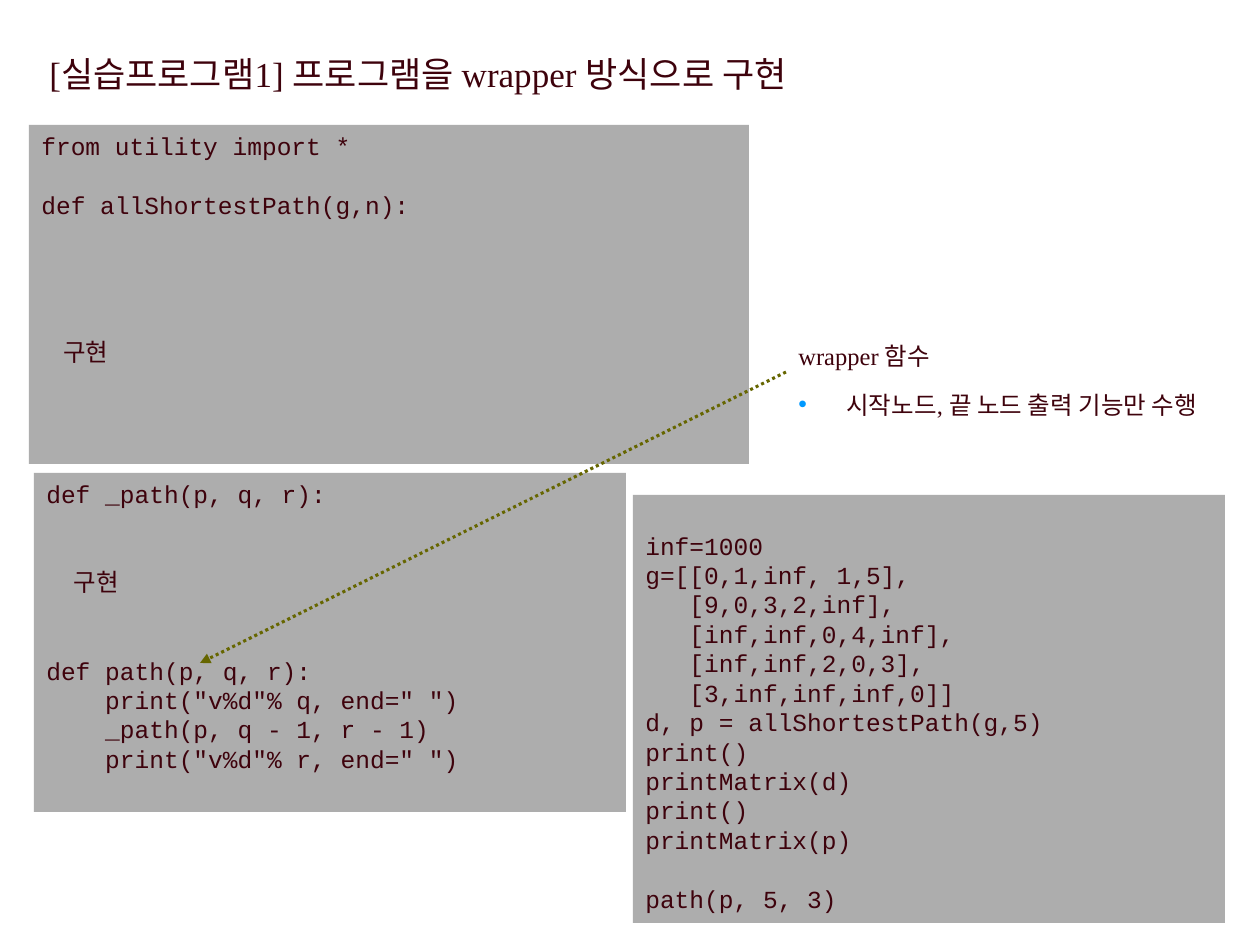
from lxml import etree
from pptx import Presentation
from pptx import util as u
from pptx.dml.color import RGBColor
from pptx.enum import dml, shapes, text
from pptx.oxml.ns import qn

PX_PER_INCH = 126
INK, GREY, OLIVE, BLUE = "3E020C", "ADADAD", "666600", "0099FF"
CODE_FONT, TEXT_FONT = "Courier New", "Times New Roman"

SHORTEST_PATH_CODE = """from utility import *

def allShortestPath(g,n):




    구현"""

PATH_CODE = """def _path(p, q, r):


     구현


def path(p, q, r):
    print("v%d"% q, end=" ")
    _path(p, q - 1, r - 1)
    print("v%d"% r, end=" ")"""

TEST_CODE = """
inf=1000
g=[[0,1,inf, 1,5],
   [9,0,3,2,inf],
   [inf,inf,0,4,inf],
   [inf,inf,2,0,3],
   [3,inf,inf,inf,0]]
d, p = allShortestPath(g,5)
print()
printMatrix(d)
print()
printMatrix(p)

path(p, 5, 3)"""


def px(*lengths):
    return [u.Inches(length / PX_PER_INCH) for length in lengths]


def color(hex_string):
    return RGBColor.from_string(hex_string)


def style_runs(para, font, size):
    for span in para.runs:
        span.font.name = font
        span.font.size = u.Pt(size)
        span.font.color.rgb = color(INK)


def size_blank_line(para, font, size):
    """Give an empty code line the height of a written one."""
    end = etree.SubElement(para._p, qn("a:endParaRPr"), sz=str(size * 100))
    etree.SubElement(end, qn("a:latin"), typeface=font)


def add_code(page, place, code):
    box = page.shapes.add_shape(shapes.MSO_SHAPE.RECTANGLE, *px(*place))
    box.shadow.inherit = False
    box.fill.solid()
    box.fill.fore_color.rgb = color(GREY)
    box.line.fill.background()
    frame = box.text_frame
    frame.word_wrap = True
    frame.vertical_anchor = text.MSO_ANCHOR.TOP
    frame.text = code
    for para in frame.paragraphs:
        para.alignment = text.PP_ALIGN.LEFT
        if para.runs:
            style_runs(para, CODE_FONT, 14)
        else:
            size_blank_line(para, CODE_FONT, 14)


def add_text(page, place, lines, size):
    box = page.shapes.add_textbox(*px(*place))
    frame = box.text_frame
    frame.word_wrap = False
    frame.auto_size = text.MSO_AUTO_SIZE.SHAPE_TO_FIT_TEXT
    frame.text = "\n".join(lines)
    for para in frame.paragraphs:
        para.line_spacing = u.Pt(28)
        style_runs(para, TEXT_FONT, size)
    return frame


def add_bullet(para, indent):
    props = para._p.get_or_add_pPr()
    props.set("marL", str(indent))
    props.set("indent", str(-indent))
    tint = etree.SubElement(props, qn("a:buClr"))
    etree.SubElement(tint, qn("a:srgbClr"), val=BLUE)
    etree.SubElement(props, qn("a:buFont"), typeface="Arial")
    etree.SubElement(props, qn("a:buChar"), char="•")


def add_dotted_arrow(page, start, end):
    arrow = page.shapes.add_connector(
        shapes.MSO_CONNECTOR.STRAIGHT, *px(*start, *end))
    arrow.line.color.rgb = color(OLIVE)
    arrow.line.width = u.Pt(1.75)
    arrow.line.dash_style = dml.MSO_LINE.ROUND_DOT
    etree.SubElement(arrow.line._get_or_add_ln(), qn("a:tailEnd"), type="triangle")
    etree.SubElement(arrow._element.spPr, qn("a:effectLst"))


def main():
    deck = Presentation()
    deck.slide_width, deck.slide_height = u.Inches(10), u.Inches(7.5)
    page = deck.slides.add_slide(deck.slide_layouts[6])

    # Code panels
    add_code(page, (29, 125, 720, 339), SHORTEST_PATH_CODE)
    add_code(page, (34, 473, 592, 339), PATH_CODE)
    add_code(page, (633, 495, 592, 428), TEST_CODE)

    # Title
    add_text(page, (37, 39, 819, 58),
             ["[실습프로그램1] 프로그램을 wrapper 방식으로 구현"], 20)

    # Note on the wrapper function, pointing at its code
    note = add_text(page, (786, 315, 456, 112),
                    ["wrapper 함수", "시작노드, 끝 노드 출력 기능만 수행"], 14)
    add_bullet(note.paragraphs[1], px(48)[0])
    add_dotted_arrow(page, (786, 372), (200, 663))

    deck.save("out.pptx")


if __name__ == "__main__":
    main()
